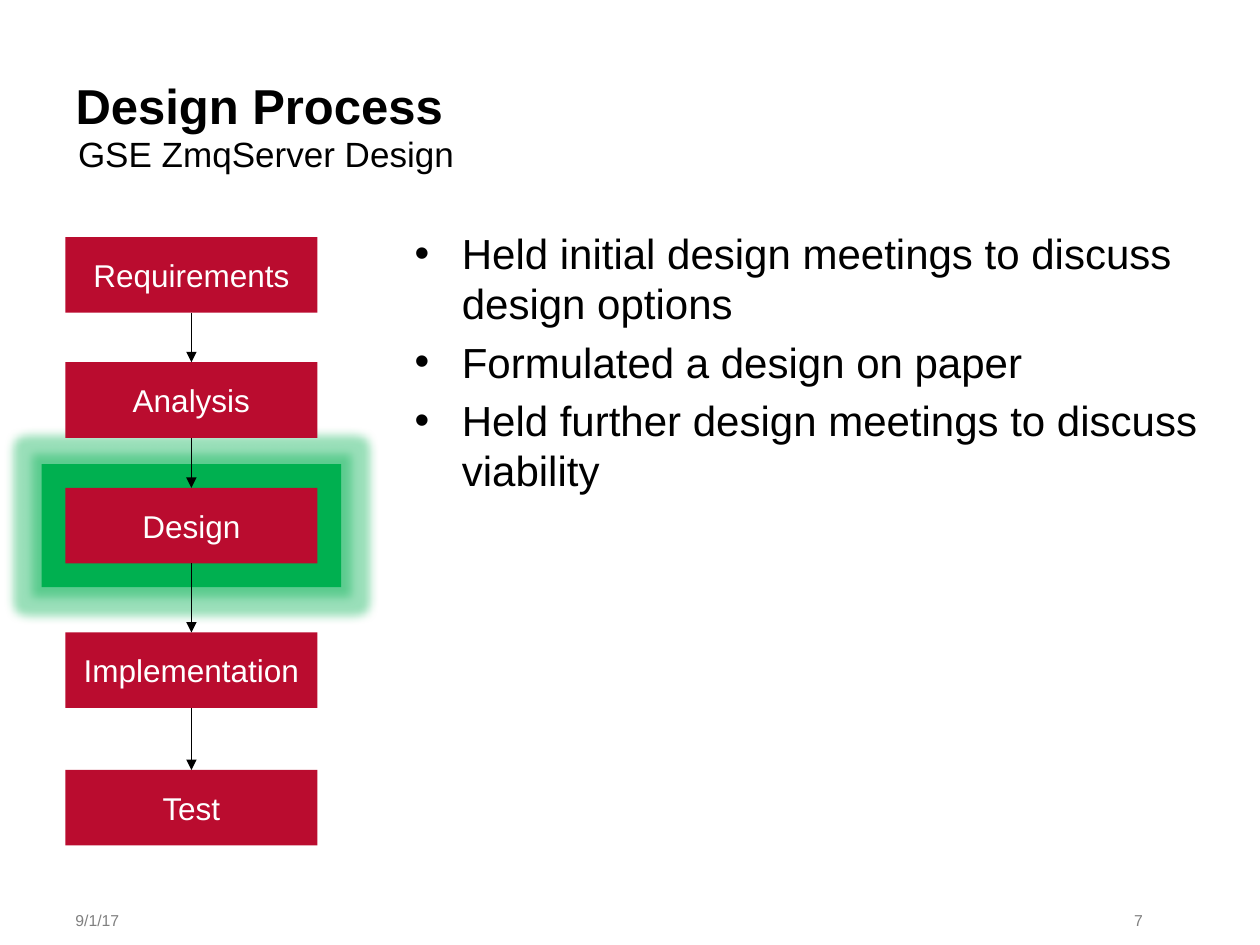
from lxml import etree
from pptx import Presentation
from pptx.dml.color import RGBColor
from pptx.enum import shapes, text
from pptx.oxml import ns
from pptx.util import Pt

TITLE = "Design Process"
SUBTITLE = "GSE ZmqServer Design"
POINTS = [
    "Held initial design meetings to discuss\vdesign options",
    "Formulated a design on paper",
    "Held further design meetings to discuss viability",
]
STAGES = [("Requirements", 135.5), ("Analysis", 207), ("Design", 278.8),
          ("Implementation", 361.4), ("Test", 440)]
CURRENT = "Design"
DATE, PAGE = "9/1/17", "7"

STAGE_LEFT, STAGE_WIDTH, STAGE_HEIGHT = 37.4, 144, 43.2
HALO_MARGIN, GLOW_RADIUS = 13.6, 11
RED, GREEN, BLACK, WHITE, GRAY = "BA0C2F", "00B050", "000000", "FFFFFF", "808080"
LEFT, CENTER, RIGHT = text.PP_ALIGN.LEFT, text.PP_ALIGN.CENTER, text.PP_ALIGN.RIGHT
TOP, MIDDLE = text.MSO_ANCHOR.TOP, text.MSO_ANCHOR.MIDDLE


def color(value):
    return RGBColor.from_string(value)


def add_xml(parent, tag, **attributes):
    child = etree.SubElement(parent, ns.qn(tag))
    for key, value in attributes.items():
        child.set(key, str(value))
    return child


def place(shape, left, top, width, height):
    box = {"left": left, "top": top, "width": width, "height": height}
    for side, value in box.items():
        setattr(shape, side, Pt(value))


def write(shape, lines, size, ink, align=LEFT, anchor=TOP, bold=False,
          margin_top=3.6):
    frame = shape.text_frame
    frame.text = "\n".join(lines)
    layout = {"word_wrap": True, "auto_size": text.MSO_AUTO_SIZE.NONE,
              "vertical_anchor": anchor, "margin_top": Pt(margin_top)}
    for key, value in layout.items():
        setattr(frame, key, value)
    style = {"name": "Arial", "size": Pt(size), "bold": bold}
    for paragraph in frame.paragraphs:
        paragraph.alignment = align
        for run in paragraph.runs:
            for key, value in style.items():
                setattr(run.font, key, value)
            run.font.color.rgb = color(ink)


def add_block(slide, left, top, width, height, fill):
    block = slide.shapes.add_shape(shapes.MSO_SHAPE.RECTANGLE, Pt(left), Pt(top),
                                   Pt(width), Pt(height))
    block.shadow.inherit = False
    block.fill.solid()
    block.fill.fore_color.rgb = color(fill)
    block.line.fill.background()
    return block


def add_halo(slide, stage_top):
    """Glowing block behind the current stage."""
    halo = add_block(slide, STAGE_LEFT - HALO_MARGIN, stage_top - HALO_MARGIN,
                     STAGE_WIDTH + 2 * HALO_MARGIN, STAGE_HEIGHT + 2 * HALO_MARGIN, GREEN)
    effects = halo._element.spPr.find(ns.qn("a:effectLst"))
    glow = add_xml(effects, "a:glow", rad=int(Pt(GLOW_RADIUS)))
    add_xml(add_xml(glow, "a:srgbClr", val=GREEN), "a:alpha", val=40000)


def add_arrow(slide, x, start, end):
    arrow = slide.shapes.add_connector(shapes.MSO_CONNECTOR.STRAIGHT,
                                       Pt(x), Pt(start), Pt(x), Pt(end))
    arrow.line.color.rgb = color(BLACK)
    arrow.line.width = Pt(1)
    add_xml(arrow.line._get_or_add_ln(), "a:tailEnd", type="triangle")
    add_xml(arrow._element.spPr, "a:effectLst")


def add_footer(slide, content, left, width, align):
    footer = slide.shapes.add_textbox(Pt(left), Pt(511.2), Pt(width), Pt(28.8))
    write(footer, [content], 9, GRAY, align, MIDDLE)


def main():
    deck = Presentation()
    deck.slide_width, deck.slide_height = Pt(720), Pt(540)
    slide = deck.slides.add_slide(deck.slide_layouts.get_by_name("Two Content"))
    title, subtitle, body = list(slide.placeholders)[:3]

    place(title, 36, 36, 648, 34.6)
    write(title, [TITLE], 28, BLACK, bold=True, margin_top=7.2)
    place(subtitle, 37.4, 72, 648, 25.9)
    write(subtitle, [SUBTITLE], 20, BLACK)
    plain = subtitle.text_frame.paragraphs[0]._p.get_or_add_pPr()
    plain.set("marL", "0")
    plain.set("indent", "0")
    add_xml(plain, "a:buNone")

    place(body, 229.7, 126.7, 490.3, 384.5)
    write(body, POINTS, 24, BLACK)
    for paragraph in body.text_frame.paragraphs:
        paragraph.line_spacing = Pt(28.6)

    add_halo(slide, dict(STAGES)[CURRENT])
    for name, top in STAGES:
        block = add_block(slide, STAGE_LEFT, top, STAGE_WIDTH, STAGE_HEIGHT, RED)
        write(block, [name], 18, WHITE, CENTER, MIDDLE)
    for (_, top), (_, next_top) in zip(STAGES, STAGES[1:]):
        add_arrow(slide, STAGE_LEFT + STAGE_WIDTH / 2, top + STAGE_HEIGHT, next_top)

    add_footer(slide, DATE, 36, 108.7, LEFT)
    add_footer(slide, PAGE, 576, 84.2, RIGHT)
    deck.save("out.pptx")


if __name__ == "__main__":
    main()
